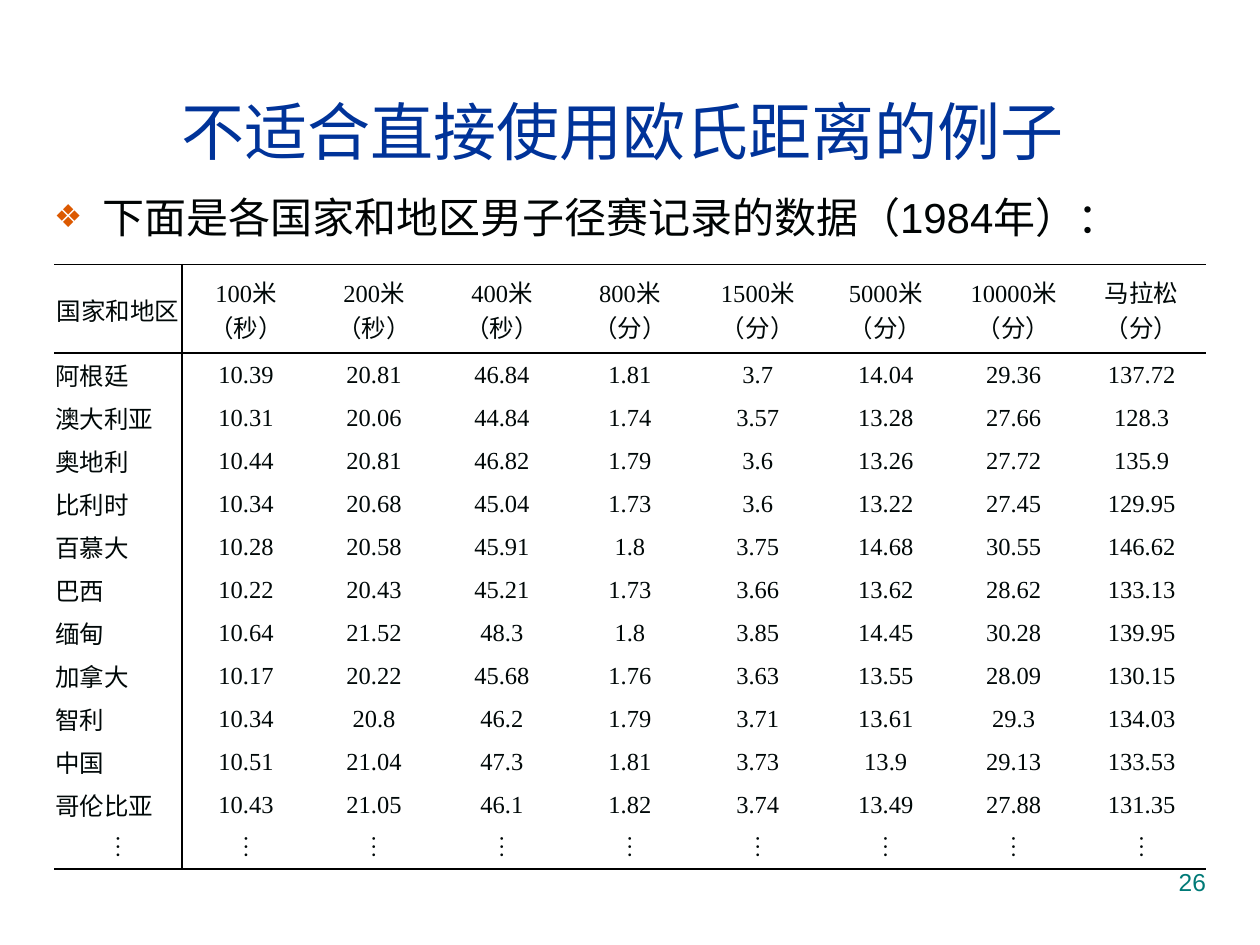
import pptx
import pptx.dml.color
import pptx.enum.text
import pptx.oxml
import pptx.oxml.ns
import pptx.util
from pptx.util import Inches

COLOURS = {
    "title": "003399",
    "body": "000404",
    "bullet": "DC5900",
    "table": "000808",
    "rule": "000000",
    "number": "007A77",
}
ALIGN = pptx.enum.text.PP_ALIGN
ANCHOR = pptx.enum.text.MSO_ANCHOR

EVENTS = [
    ("100米", "（秒）"), ("200米", "（秒）"), ("400米", "（秒）"), ("800米", "（分）"),
    ("1500米", "（分）"), ("5000米", "（分）"), ("10000米", "（分）"), ("马拉松", "（分）"),
]
RECORDS = """\
阿根廷 10.39 20.81 46.84 1.81 3.7 14.04 29.36 137.72
澳大利亚 10.31 20.06 44.84 1.74 3.57 13.28 27.66 128.3
奥地利 10.44 20.81 46.82 1.79 3.6 13.26 27.72 135.9
比利时 10.34 20.68 45.04 1.73 3.6 13.22 27.45 129.95
百慕大 10.28 20.58 45.91 1.8 3.75 14.68 30.55 146.62
巴西 10.22 20.43 45.21 1.73 3.66 13.62 28.62 133.13
缅甸 10.64 21.52 48.3 1.8 3.85 14.45 30.28 139.95
加拿大 10.17 20.22 45.68 1.76 3.63 13.55 28.09 130.15
智利 10.34 20.8 46.2 1.79 3.71 13.61 29.3 134.03
中国 10.51 21.04 47.3 1.81 3.73 13.9 29.13 133.53
哥伦比亚 10.43 21.05 46.1 1.82 3.74 13.49 27.88 131.35"""


def write_text(frame, *lines, size=14, font="Arial", colour="body", align=ALIGN.LEFT, anchor=ANCHOR.TOP):
    """Fill a text frame with one formatted paragraph per line."""
    frame.word_wrap = True
    frame.vertical_anchor = anchor
    for index, line in enumerate(lines):
        para = frame.paragraphs[0] if index == 0 else frame.add_paragraph()
        para.alignment = align
        span = para.add_run()
        span.text = line
        span.font.size = pptx.util.Pt(size)
        span.font.name = font
        span.font.color.rgb = pptx.dml.color.RGBColor.from_string(COLOURS[colour])


def place(box, left, top, width, height):
    """Set the position and size of a shape."""
    box.left, box.top = Inches(left), Inches(top)
    box.width, box.height = Inches(width), Inches(height)


def add_bullet(para, character, colour, indent, percent):
    """Give a paragraph a coloured bullet with a hanging indent."""
    properties = para._p.get_or_add_pPr()
    properties.set("marL", str(Inches(indent)))
    properties.set("indent", str(-Inches(indent)))
    namespace = pptx.oxml.ns.nsdecls("a")
    for xml in (
        f'<a:buClr {namespace}><a:srgbClr val="{COLOURS[colour]}"/></a:buClr>',
        f'<a:buSzPct {namespace} val="{percent * 1000}"/>',
        f'<a:buFont {namespace} typeface="Arial"/>',
        f'<a:buChar {namespace} char="{character}"/>',
    ):
        properties.append(pptx.oxml.parse_xml(xml))


def set_borders(cell, edges):
    """Rule the named edges of a cell and clear the others."""
    properties = cell._tc.get_or_add_tcPr()
    namespace = pptx.oxml.ns.nsdecls("a")
    solid = f'<a:solidFill><a:srgbClr val="{COLOURS["rule"]}"/></a:solidFill>'
    for edge in "LRTB":
        line = solid if edge in edges else "<a:noFill/>"
        properties.append(pptx.oxml.parse_xml(
            f'<a:ln{edge} {namespace} w="{pptx.util.Pt(1)}">{line}</a:ln{edge}>'))


def add_records(page):
    """Add the table of running records."""
    rows = [[("国家和地区",)] + EVENTS]
    rows += [[(value,) for value in line.split()] for line in RECORDS.splitlines()]
    rows.append([("⋮",)] * len(rows[0]))
    last = len(rows) - 1
    width, height, header = 9.14, 4.8, 0.7
    table = page.shapes.add_table(len(rows), len(rows[0]), Inches(0.43), Inches(2.1),
                                  Inches(width), Inches(height)).table
    table.first_row = table.horz_banding = False
    for column in table.columns:
        column.width = Inches(width / len(rows[0]))
    for r, values in enumerate(rows):
        table.rows[r].height = Inches(header if r == 0 else (height - header) / last)
        for c, lines in enumerate(values):
            cell = table.cell(r, c)
            cell.margin_left = cell.margin_right = cell.margin_top = Inches(0.01)
            cell.margin_bottom = 0
            is_country = c == 0 and 0 < r < last
            write_text(cell.text_frame, *lines, font="Times New Roman", colour="table",
                       align=ALIGN.JUSTIFY if is_country else ALIGN.CENTER)
            cell.vertical_anchor = ANCHOR.MIDDLE
            edges = {0: "TB", 1: "T", last: "B"}.get(r, "") + {0: "R", 1: "L"}.get(c, "")
            set_borders(cell, edges)
            cell.fill.background()


def main():
    """Build the slide and save it."""
    deck = pptx.Presentation()
    deck.slide_width, deck.slide_height = Inches(10), Inches(7.5)
    page = deck.slides.add_slide(deck.slide_layouts[1])

    title, body = page.placeholders
    place(title, 0.27, 0.68, 9.34, 0.71)
    write_text(title.text_frame, "不适合直接使用欧氏距离的例子", size=36, colour="title",
               align=ALIGN.CENTER, anchor=ANCHOR.MIDDLE)
    place(body, 0.33, 1.47, 9.34, 5.2)
    write_text(body.text_frame, "下面是各国家和地区男子径赛记录的数据（1984年）：", size=24)
    add_bullet(body.text_frame.paragraphs[0], "❖", "bullet", indent=0.38, percent=75)
    for box in (title, body):
        box.text_frame.auto_size = pptx.enum.text.MSO_AUTO_SIZE.NONE

    add_records(page)
    number = page.shapes.add_textbox(Inches(7.17), Inches(6.83), Inches(2.5), Inches(0.52))
    write_text(number.text_frame, "26", colour="number", align=ALIGN.RIGHT)
    deck.save("out.pptx")


if __name__ == "__main__":
    main()
